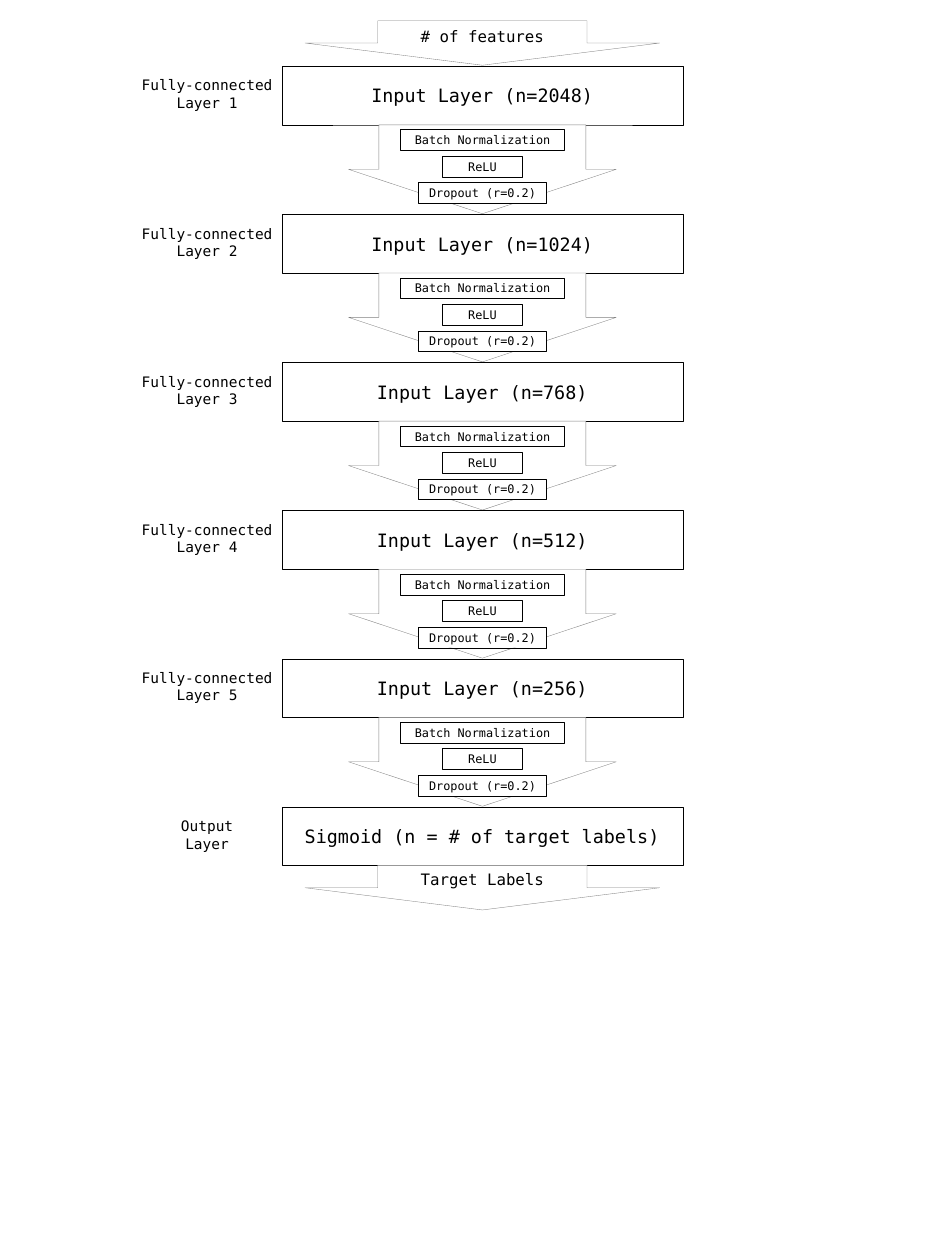
"""Draw a five-layer fully-connected network as a vertical flow."""
import pptx
import pptx.dml.color
import pptx.enum.shapes
import pptx.enum.text
import pptx.util

Inches = pptx.util.Inches
Shapes = pptx.enum.shapes.MSO_SHAPE
Anchor = pptx.enum.text.MSO_ANCHOR

BLACK = pptx.dml.color.RGBColor(0x00, 0x00, 0x00)
GREY = pptx.dml.color.RGBColor(0x80, 0x80, 0x80)
WHITE = pptx.dml.color.RGBColor(0xFF, 0xFF, 0xFF)

CENTER = 5.1
LABEL_CENTER = 2.19
FIRST_TOP, LAST_TOP = 0.7, 8.53
LAYER_SIZE = (4.24, 0.62)
STEP_ARROW = (2.83, 0.94)
END_ARROW = (3.75, 0.47)
STEP_OFFSET, STEP_PITCH = 0.67, 0.28

UNITS = [2048, 1024, 768, 512, 256]
STEPS = [("Batch Normalization", 1.73), ("ReLU", 0.84), ("Dropout (r=0.2)", 1.36)]


def apply(target, values):
    """Set each attribute of target named in values."""
    for name, value in values.items():
        setattr(target, name, value)


class Diagram:
    """Holds the text style and the slide being drawn."""

    font = {"name": "DejaVu Sans Mono"}
    line_width = pptx.util.Pt(0.25)
    box_frame = {"vertical_anchor": Anchor.MIDDLE, "word_wrap": True,
                 "margin_left": 0, "margin_right": 0,
                 "margin_top": 0, "margin_bottom": 0}
    label_frame = {"word_wrap": False, "vertical_anchor": Anchor.TOP,
                   "auto_size": pptx.enum.text.MSO_AUTO_SIZE.SHAPE_TO_FIT_TEXT}

    def __init__(self, slide):
        """Keep the slide to draw on."""
        self.slide = slide

    def set_text(self, frame, text, size, layout):
        """Fill a text frame with centred lines."""
        apply(frame, layout)
        frame.text = text
        for paragraph in frame.paragraphs:
            paragraph.alignment = pptx.enum.text.PP_ALIGN.CENTER
            for run in paragraph.runs:
                apply(run.font, {**self.font, "size": pptx.util.Pt(size)})
                run.font.color.rgb = BLACK

    def outline(self, kind, top, size, color):
        """Add a white outlined shape on the centre axis."""
        width, height = size
        shape = self.slide.shapes.add_shape(
            kind, Inches(CENTER - width / 2), Inches(top), Inches(width), Inches(height))
        shape.shadow.inherit = False
        shape.fill.solid()
        shape.fill.fore_color.rgb = WHITE
        shape.line.color.rgb = color
        shape.line.width = self.line_width
        return shape

    def box(self, text, top, size, points):
        """Add a black-edged box with text."""
        shape = self.outline(Shapes.RECTANGLE, top, size, BLACK)
        self.set_text(shape.text_frame, text, points, self.box_frame)

    def arrow(self, top, size, shaft, text="", anchor=Anchor.MIDDLE):
        """Add a grey down arrow whose shaft is a share of its width."""
        shape = self.outline(Shapes.DOWN_ARROW, top, size, GREY)
        shape.adjustments[0] = shaft
        shape.adjustments[1] = 0.5
        if text:
            self.set_text(shape.text_frame, text, 12, {"vertical_anchor": anchor})

    def label(self, text, top, width):
        """Add a label in the column left of the layers."""
        caption = self.slide.shapes.add_textbox(
            Inches(LABEL_CENTER - width / 2), Inches(top), Inches(width), Inches(0.47))
        self.set_text(caption.text_frame, text, 11, self.label_frame)

    def layer(self, title, caption, top, caption_width):
        """Add a layer box with its label."""
        self.box(title, top, LAYER_SIZE, 14)
        self.label(caption, top + 0.06, caption_width)

    def steps(self, top):
        """Add the arrow and the processing steps below a layer."""
        self.arrow(top + LAYER_SIZE[1], STEP_ARROW, 0.773)
        for index, (step, width) in enumerate(STEPS):
            self.box(step, top + STEP_OFFSET + index * STEP_PITCH, (width, 0.22), 9)


def main():
    """Build and save the slide."""
    deck = pptx.Presentation()
    apply(deck, {"slide_width": Inches(9.99), "slide_height": Inches(13.32)})
    diagram = Diagram(deck.slides.add_slide(deck.slide_layouts[6]))

    diagram.arrow(0.22, END_ARROW, 0.59, "# of features")
    layer_pitch = (LAST_TOP - FIRST_TOP) / len(UNITS)
    for index, units in enumerate(UNITS):
        top = FIRST_TOP + index * layer_pitch
        diagram.layer(f"Input Layer (n={units})",
                      f"Fully-connected\nLayer {index + 1}", top, 1.6)
        diagram.steps(top)
    diagram.layer("Sigmoid (n = # of target labels)", "Output\nLayer", LAST_TOP, 0.76)
    diagram.arrow(LAST_TOP + LAYER_SIZE[1], END_ARROW, 0.59, "Target Labels", Anchor.TOP)

    deck.save("out.pptx")


main()
